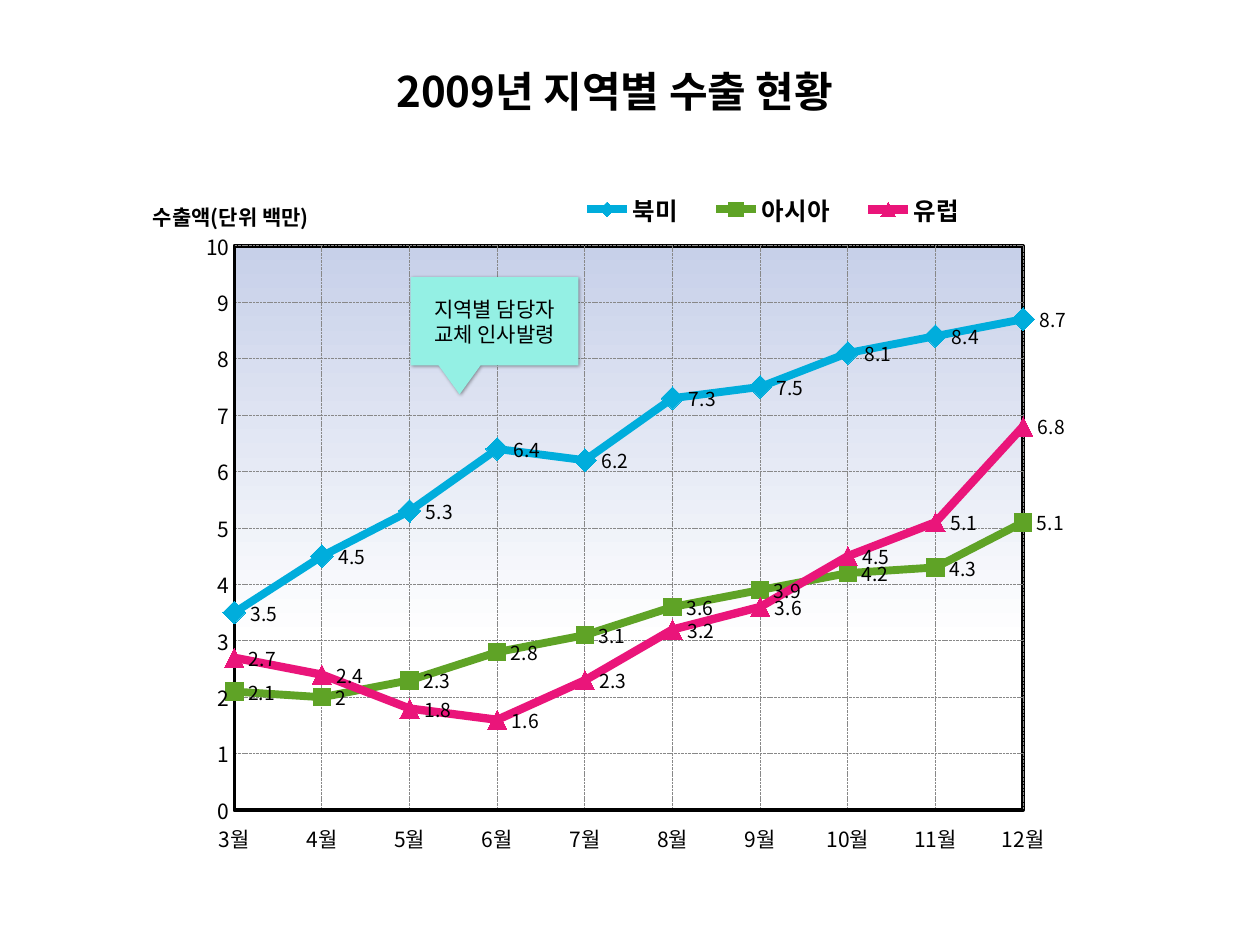
import pptx
import pptx.chart.data
import pptx.dml.color
import pptx.enum.chart
import pptx.enum.dml
import pptx.enum.shapes
import pptx.enum.text
import pptx.oxml
import pptx.oxml.ns
import pptx.util
from pptx.util import Inches, Pt

FACE = "Noto Sans CJK KR"
HUES = {"text": "000000", "grid": "888888", "note": "94F0E4", "top": "C7D0E9",
        "base": "FFFFFF", "north": "00ADDC", "asia": "5FA326", "euro": "EA157A"}
NS = pptx.oxml.ns.nsdecls("a", "c")
qn = pptx.oxml.ns.qn


def style(font, size, bold=False):
    font.name, font.size, font.bold = FACE, Pt(size), bold
    font.color.rgb = pptx.dml.color.RGBColor.from_string(HUES["text"])


def place(node, index, target="", **rect):
    """Give a chart part a manual layout in fractions of the chart."""
    for old in node.findall(qn("c:layout")):
        node.remove(old)
    modes = "".join(f'<c:{key}Mode val="edge"/>' for key in rect if key in "xy")
    sides = "".join(f'<c:{key} val="{val}"/>' for key, val in rect.items())
    node.insert(index, pptx.oxml.parse_xml(
        f"<c:layout {NS}><c:manualLayout>{target}{modes}{sides}"
        "</c:manualLayout></c:layout>"))


deck = pptx.Presentation()
deck.slide_width, deck.slide_height = Inches(10), Inches(7.5)
slide = deck.slides.add_slide(deck.slide_layouts[5])

# Chart
marks = pptx.enum.chart.XL_MARKER_STYLE
lines = [
    ("북미", [3.5, 4.5, 5.3, 6.4, 6.2, 7.3, 7.5, 8.1, 8.4, 8.7],
     "north", 4.5, marks.DIAMOND, 13),
    ("아시아", [2.1, 2, 2.3, 2.8, 3.1, 3.6, 3.9, 4.2, 4.3, 5.1],
     "asia", 4.5, marks.SQUARE, 10),
    ("유럽", [2.7, 2.4, 1.8, 1.6, 2.3, 3.2, 3.6, 4.5, 5.1, 6.8],
     "euro", 4.75, marks.TRIANGLE, 11),
]
data = pptx.chart.data.CategoryChartData()
data.categories = [f"{month}월" for month in range(3, 13)]
for name, vals, *_ in lines:
    data.add_series(name, vals)
chart = slide.shapes.add_chart(
    pptx.enum.chart.XL_CHART_TYPE.LINE_MARKERS, Inches(0.23), Inches(0.94),
    Inches(9.53), Inches(6.02), data).chart
chart.has_title = False
style(chart.font, 14)

for series, (_, _, hue, width, mark, size) in zip(chart.plots[0].series, lines):
    color = pptx.dml.color.RGBColor.from_string(HUES[hue])
    series.smooth = False
    series.format.line.color.rgb = color
    series.format.line.width = Pt(width)
    series.marker.style, series.marker.size = mark, size
    series.marker.format.fill.solid()
    series.marker.format.fill.fore_color.rgb = color
    series.marker.format.line.color.rgb = color
    labels = series.data_labels
    labels.show_value = True
    labels.position = pptx.enum.chart.XL_LABEL_POSITION.RIGHT
    style(labels.font, 11)

# Axes
months, amount = chart.category_axis, chart.value_axis
for axis in (months, amount):
    axis.major_tick_mark = axis.minor_tick_mark = pptx.enum.chart.XL_TICK_MARK.NONE
    axis.has_major_gridlines = True
    grid = axis.major_gridlines.format.line
    grid.color.rgb = pptx.dml.color.RGBColor.from_string(HUES["grid"])
    grid.width = Pt(0.5)
    grid.dash_style = pptx.enum.dml.MSO_LINE.SQUARE_DOT
    axis.format.line.color.rgb = pptx.dml.color.RGBColor.from_string(HUES["text"])
    axis.format.line.width = Pt(2)
    style(axis.tick_labels.font, 12)
months.tick_label_position = pptx.enum.chart.XL_TICK_LABEL_POSITION.LOW
amount.minimum_scale, amount.maximum_scale, amount.major_unit = 0, 10, 1
amount.tick_labels.number_format = "General"
amount.tick_labels.number_format_is_linked = False
scale = amount._element
for old in scale.findall(qn("c:crossBetween")):
    scale.remove(old)
scale.find(qn("c:majorUnit")).addprevious(
    pptx.oxml.parse_xml(f'<c:crossBetween {NS} val="midCat"/>'))

unit = amount.axis_title.text_frame
unit.text = "수출액(단위 백만)"
style(unit.paragraphs[0].runs[0].font, 12, True)
body = unit._txBody.find(qn("a:bodyPr"))
body.set("rot", "0")
body.set("vert", "horz")
place(amount.axis_title._element, 1, x=0.1, y=0.1)

chart.has_legend = True
chart.legend.position = pptx.enum.chart.XL_LEGEND_POSITION.RIGHT
chart.legend.include_in_layout = False
style(chart.legend.font, 14, True)
place(chart.legend._element, 1, x=0.44, y=0.08, w=0.36, h=0.08)

plot = chart._chartSpace.chart.plotArea
place(plot, 0, '<c:layoutTarget val="inner"/>', x=0.171, y=0.168, w=0.657, h=0.744)
plot.append(pptx.oxml.parse_xml(
    f'<c:spPr {NS}><a:gradFill><a:gsLst>'
    f'<a:gs pos="0"><a:srgbClr val="{HUES["top"]}"/></a:gs>'
    f'<a:gs pos="70000"><a:srgbClr val="{HUES["base"]}"/></a:gs>'
    f'<a:gs pos="100000"><a:srgbClr val="{HUES["base"]}"/></a:gs>'
    '</a:gsLst><a:lin ang="5400000" scaled="0"/></a:gradFill>'
    f'<a:ln w="{Pt(2)}"><a:solidFill><a:srgbClr val="{HUES["text"]}"/>'
    '</a:solidFill></a:ln></c:spPr>'))

# Title and callout
title = slide.shapes.title
title.left, title.top = Inches(1.95), Inches(0.47)
title.width, title.height = Inches(5.86), Inches(0.5)
note = slide.shapes.add_shape(
    pptx.enum.shapes.MSO_SHAPE.RECTANGULAR_CALLOUT,
    Inches(3.26), Inches(2.2), Inches(1.33), Inches(0.7))
note.adjustments[0], note.adjustments[1] = -0.208, 0.828
note.fill.solid()
note.fill.fore_color.rgb = pptx.dml.color.RGBColor.from_string(HUES["note"])
note.line.fill.background()
note._element.spPr.append(pptx.oxml.parse_xml(
    f'<a:effectLst {NS}><a:outerShdw blurRad="{Pt(2)}" dist="{Pt(1)}" dir="2700000">'
    f'<a:srgbClr val="{HUES["text"]}"><a:alpha val="40000"/></a:srgbClr>'
    '</a:outerShdw></a:effectLst>'))
for shape, text, size, bold in [(title, "2009년 지역별 수출 현황", 24, True),
                                (note, "지역별 담당자 교체 인사발령", 12, False)]:
    frame = shape.text_frame
    frame.text = text
    frame.word_wrap = True
    frame.vertical_anchor = pptx.enum.text.MSO_ANCHOR.MIDDLE
    frame.paragraphs[0].alignment = pptx.enum.text.PP_ALIGN.CENTER
    style(frame.paragraphs[0].runs[0].font, size, bold)

# Korean glyphs take the East Asian face
for root in (chart._chartSpace, slide._element):
    for latin in list(root.iter(qn("a:latin"))):
        latin.addnext(pptx.oxml.parse_xml(f'<a:ea {NS} typeface="{FACE}"/>'))

deck.save("out.pptx")
